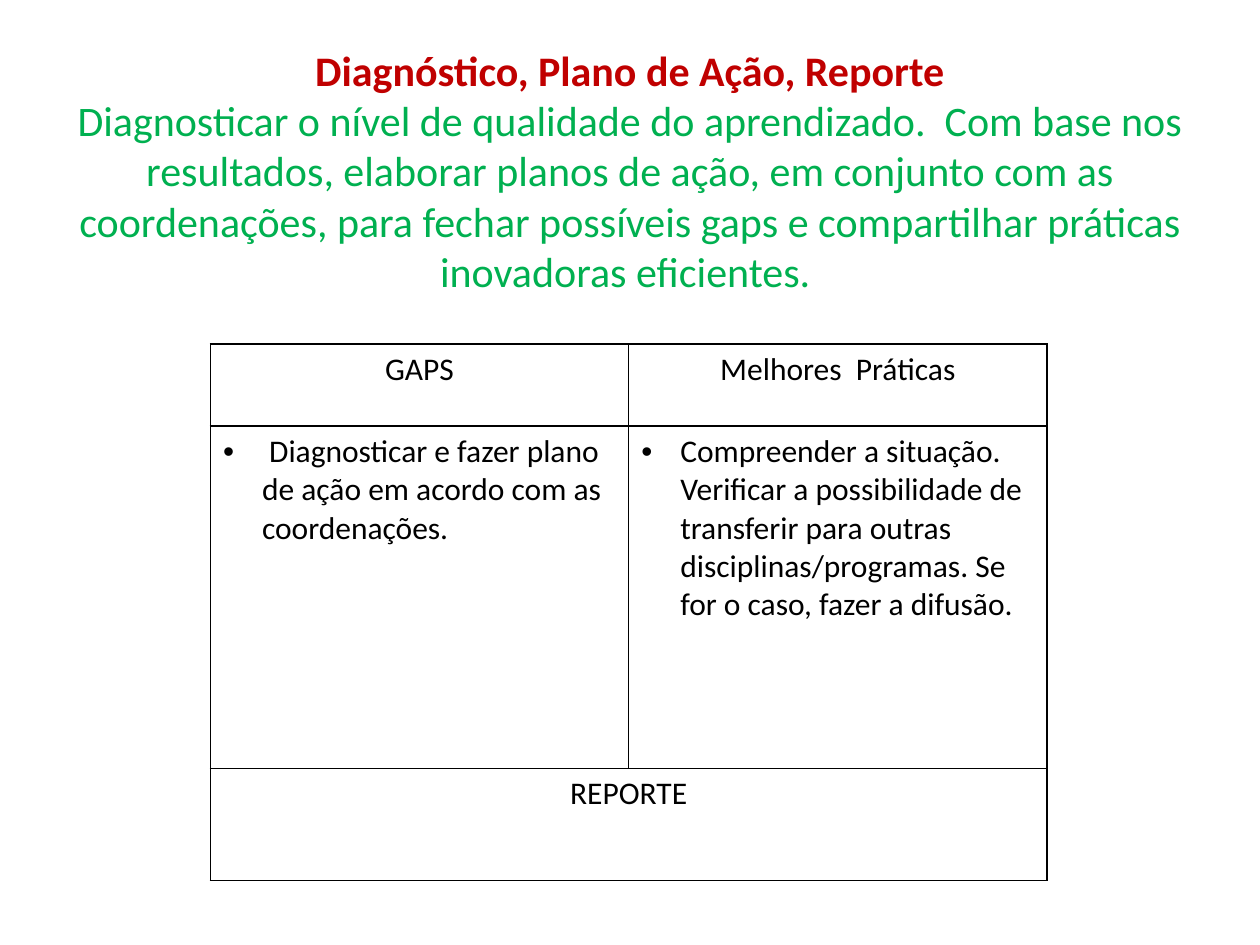
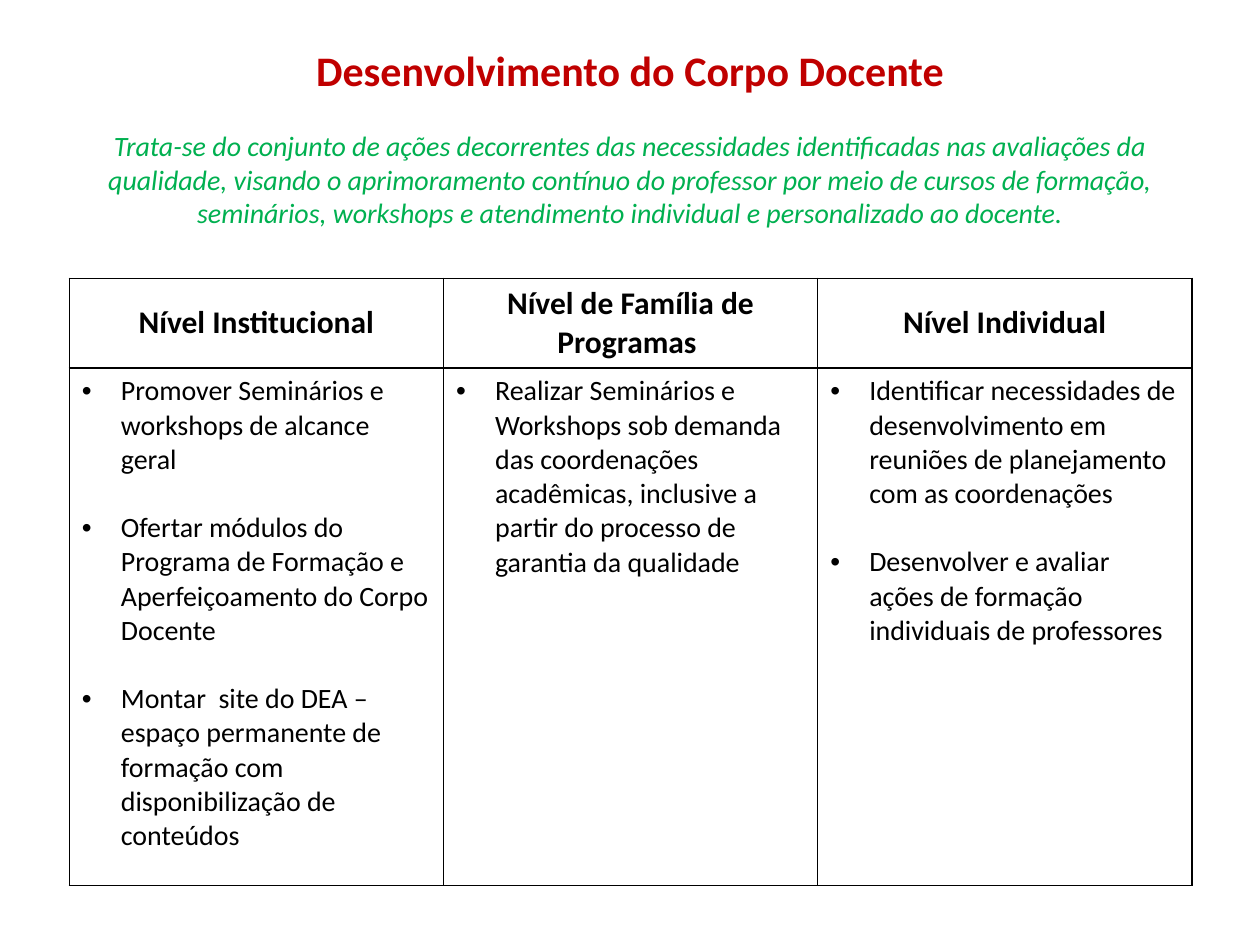
import pptx
import pptx.util
import pptx.dml.color
import pptx.enum.text
import pptx.oxml
import pptx.oxml.ns
from lxml import etree

Inches, Pt = pptx.util.Inches, pptx.util.Pt
ALIGN = pptx.enum.text.PP_ALIGN
ANCHOR = pptx.enum.text.MSO_ANCHOR
qn = pptx.oxml.ns.qn

# Shared look
FONT = "Calibri"
BLACK, RED, GREEN = "000000", "C00000", "00B050"
GAP = Pt(19.5)  # one line of 16 pt text
TITLE = {"size": Pt(24), "bold": True}
INDENT = Inches(0.31)


def color(code):
    return pptx.dml.color.RGBColor.from_string(code)


def apply(item, values):
    for name, value in values.items():
        setattr(item, name, value)


def write(par, text, tint, look):
    run = par.add_run()
    run.text = text
    apply(run.font, {"name": FONT, **look})
    run.font.color.rgb = color(tint)


def add_head(slide, title, body, look, gap=0):
    """Red title line with a green statement under it."""
    box = slide.shapes.add_textbox(Inches(0.5), Inches(0.3), Inches(9), Inches(1.95))
    frame = box.text_frame
    apply(frame, {"word_wrap": True, "vertical_anchor": ANCHOR.TOP})
    first, second = frame.paragraphs[0], frame.add_paragraph()
    write(first, title, RED, TITLE)
    write(second, body, GREEN, look)
    apply(first, {"alignment": ALIGN.CENTER})
    apply(second, {"alignment": ALIGN.CENTER, "space_before": gap})


def add_grid(slide, left, top, widths, heights):
    """Plain table without fill, ruled in black."""
    shape = slide.shapes.add_table(len(heights), len(widths), Inches(left), Inches(top),
                                   Inches(sum(widths)), Inches(sum(heights)))
    table = shape.table
    apply(table, {"first_row": False, "horz_banding": False})
    for col, width in zip(table.columns, widths):
        col.width = Inches(width)
    for row, height in zip(table.rows, heights):
        row.height = Inches(height)
    for cell in table.iter_cells():
        cell.fill.background()
        rule(cell)
    return table


def rule(cell):
    props = cell._tc.get_or_add_tcPr()
    for spot, side in enumerate(("lnL", "lnR", "lnT", "lnB")):
        line = etree.Element(qn("a:" + side), w=str(Pt(1)))
        fill = etree.SubElement(line, qn("a:solidFill"))
        etree.SubElement(fill, qn("a:srgbClr"), val=BLACK)
        props.insert(spot, line)


def fill_head(cell, text, bold=False, anchor=ANCHOR.TOP):
    cell.vertical_anchor = anchor
    par = cell.text_frame.paragraphs[0]
    par.alignment = ALIGN.CENTER
    write(par, text, BLACK, {"size": Pt(18), "bold": bold})


def fill_list(cell, items, size):
    frame = cell.text_frame
    for spot, text in enumerate(items):
        par = frame.add_paragraph() if spot else frame.paragraphs[0]
        par.space_before = GAP if spot else 0
        props = par._p.get_or_add_pPr()
        props.set("marL", str(INDENT))
        props.set("indent", str(-INDENT))
        etree.SubElement(props, qn("a:buFont"), typeface="Arial")
        etree.SubElement(props, qn("a:buChar"), char="•")
        write(par, text, BLACK, {"size": Pt(size), "bold": False})


def add_plan(slide):
    add_head(slide, "Diagnóstico, Plano de Ação, Reporte",
             "Diagnosticar o nível de qualidade do aprendizado.  Com base nos resultados, "
             "elaborar planos de ação, em conjunto com as coordenações, para fechar "
             "possíveis gaps e compartilhar práticas inovadoras eficientes. ",
             {"size": Pt(24), "bold": False})
    table = add_grid(slide, 1.67, 2.73, [3.32] * 2, [0.65, 2.72, 0.89])
    parts = [
        ("GAPS", " Diagnosticar e fazer plano de ação em acordo com as coordenações."),
        ("Melhores  Práticas",
         "Compreender a situação. Verificar a possibilidade de transferir para outras "
         "disciplinas/programas. Se for o caso, fazer a difusão."),
    ]
    for col, (head, text) in enumerate(parts):
        fill_head(table.cell(0, col), head)
        fill_list(table.cell(1, col), [text], 18)
    # Report row across both columns
    table.cell(2, 0).merge(table.cell(2, 1))
    fill_head(table.cell(2, 0), "REPORTE")


def add_levels(slide):
    add_head(slide, "Desenvolvimento do Corpo Docente",
             "Trata-se do conjunto de ações decorrentes das necessidades identificadas nas "
             "avaliações da qualidade, visando o aprimoramento contínuo do professor por "
             "meio de cursos de formação, seminários, workshops e atendimento individual e "
             "personalizado ao docente.",
             {"size": Pt(16), "bold": False, "italic": True}, GAP)
    table = add_grid(slide, 0.55, 2.21, [2.97] * 3, [0.71, 4.11])
    levels = [
        ("Nível Institucional",
         ["Promover Seminários e workshops de alcance geral",
          "Ofertar módulos do Programa de Formação e Aperfeiçoamento do Corpo Docente",
          "Montar  site do DEA – espaço permanente de formação com disponibilização "
          "de conteúdos"]),
        ("Nível de Família de Programas ",
         ["Realizar Seminários e Workshops sob demanda das coordenações acadêmicas, "
          "inclusive a partir do processo de garantia da qualidade"]),
        ("Nível Individual",
         ["Identificar necessidades de desenvolvimento em reuniões de planejamento com "
          "as coordenações",
          "Desenvolver e avaliar ações de formação individuais de professores"]),
    ]
    for col, (head, items) in enumerate(levels):
        fill_head(table.cell(0, col), head, True, ANCHOR.MIDDLE)
        fill_list(table.cell(1, col), items, 16)


def main():
    deck = pptx.Presentation()
    apply(deck, {"slide_width": Inches(10), "slide_height": Inches(7.5)})
    for build in (add_plan, add_levels):
        build(deck.slides.add_slide(deck.slide_layouts[6]))
    deck.save("out.pptx")


main()
